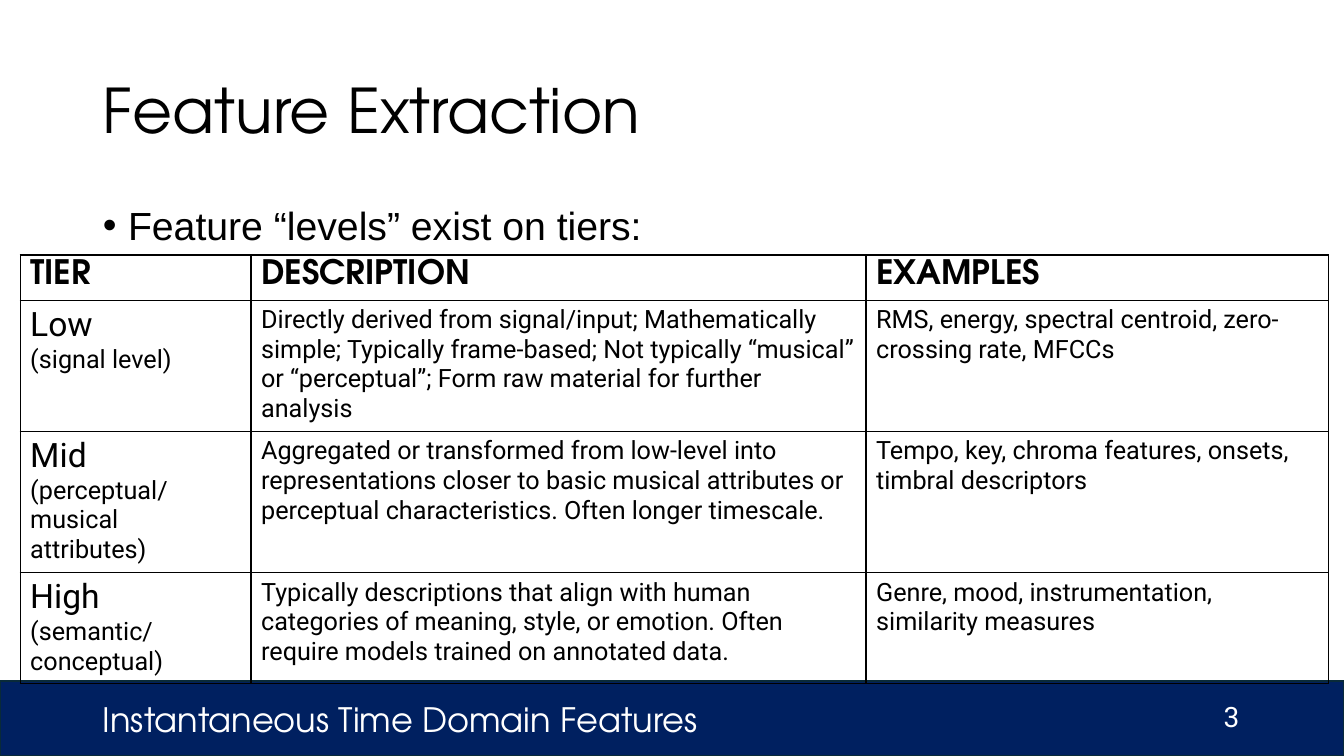
from dataclasses import dataclass
from typing import Any

from lxml.etree import SubElement
from pptx import Presentation
from pptx.dml.color import RGBColor
from pptx.enum.shapes import MSO_SHAPE
from pptx.enum.text import MSO_ANCHOR, MSO_AUTO_SIZE, PP_ALIGN
from pptx.oxml.ns import qn
from pptx.util import Inches, Pt


@dataclass(frozen=True)
class Theme:
    black: str = "000000"
    white: str = "FFFFFF"
    navy: str = "002060"
    band_edge: str = "092A39"
    heading: str = "TeX Gyre Adventor"
    body: str = "Arial"
    text: str = "Roboto"
    title_size: int = 44
    body_size: int = 28
    head_size: int = 24
    number_size: int = 20
    cell_size: int = 18


@dataclass(frozen=True)
class Box:
    left: float
    top: float
    width: float
    height: float

    def emu(self) -> tuple[int, int, int, int]:
        return Inches(self.left), Inches(self.top), Inches(self.width), Inches(self.height)


@dataclass(frozen=True)
class Tier:
    name: str
    notes: tuple[str, ...]
    description: str
    examples: str


@dataclass(frozen=True)
class Label:
    text: str
    box: Box
    font: str
    size: int
    align: PP_ALIGN


T = Theme()
SLIDE_W, SLIDE_H = 13.33, 7.5
BAND = Box(0, 6.76, SLIDE_W, 0.74)
TITLE = Box(0.92, 0.4, 11.5, 1.45)
BODY = Box(0.92, 2, 11.5, 4.76)
HEADERS = ("TIER", "DESCRIPTION", "EXAMPLES")
ROW_HEIGHT = 0.41
COLUMNS = (2.29, 6.1, 4.59)
TIERS = (
    Tier("Low", ("(signal level)",),
         "Directly derived from signal/input; Mathematically simple; Typically frame-based; "
         "Not typically “musical” or “perceptual”; Form raw material for further analysis",
         "RMS, energy, spectral centroid, zero-crossing rate, MFCCs"),
    Tier("Mid", ("(perceptual/", "musical attributes)"),
         "Aggregated or transformed from low-level into representations closer to basic musical "
         "attributes or perceptual characteristics. Often longer timescale.",
         "Tempo, key, chroma features, onsets, timbral descriptors"),
    Tier("High", ("(semantic/", "conceptual)"),
         "Typically descriptions that align with human categories of meaning, style, or emotion. "
         "Often require models trained on annotated data.",
         "Genre, mood, instrumentation, similarity measures"),
)
LABELS = (
    Label("Instantaneous Time Domain Features", Box(0.92, 6.76, 7.67, 0.74),
          T.heading, T.head_size, PP_ALIGN.LEFT),
    Label("3", Box(11.27, 6.87, 1.12, 0.48), T.text, T.number_size, PP_ALIGN.RIGHT),
)


def style(p: Any, font: str, size: int, color: str = T.black, bold: bool = False) -> None:
    for r in p.runs:
        r.font.name = font
        r.font.size = Pt(size)
        r.font.bold = bold
        r.font.color.rgb = RGBColor.from_string(color)


def fill_placeholder(sp: Any, text: str, box: Box, font: str, size: int, anchor: MSO_ANCHOR) -> Any:
    sp.left, sp.top, sp.width, sp.height = box.emu()
    tf = sp.text_frame
    tf.text = text
    tf.auto_size = MSO_AUTO_SIZE.NONE
    tf.vertical_anchor = anchor
    p = tf.paragraphs[0]
    p.alignment = PP_ALIGN.LEFT
    p.line_spacing = 0.9
    style(p, font, size)
    return p


def set_bullet(p: Any, char: str, indent: float) -> None:
    pPr = p._p.get_or_add_pPr()
    pPr.set("marL", str(Inches(indent)))
    pPr.set("indent", str(-Inches(indent)))
    SubElement(pPr, qn("a:buFont"), typeface=T.body)
    SubElement(pPr, qn("a:buChar"), char=char)


def add_band(s: Any) -> None:
    sp = s.shapes.add_shape(MSO_SHAPE.RECTANGLE, *BAND.emu())
    sp.shadow.inherit = False
    sp.fill.solid()
    sp.fill.fore_color.rgb = RGBColor.from_string(T.navy)
    sp.line.color.rgb = RGBColor.from_string(T.band_edge)
    sp.line.width = Pt(1.5)


def add_label(s: Any, label: Label) -> None:
    tf = s.shapes.add_textbox(*label.box.emu()).text_frame
    tf.word_wrap = True
    tf.vertical_anchor = MSO_ANCHOR.MIDDLE
    p = tf.paragraphs[0]
    p.text = label.text
    p.alignment = label.align
    style(p, label.font, label.size, T.white)


def set_borders(cell: Any) -> None:
    tcPr = cell._tc.get_or_add_tcPr()
    for side in ("lnL", "lnR", "lnT", "lnB"):
        ln = SubElement(tcPr, qn(f"a:{side}"), w=str(Pt(1)))
        SubElement(SubElement(ln, qn("a:solidFill")), qn("a:srgbClr"), val=T.black)


def fill_cell(cell: Any, lines: tuple[str, ...], sizes: tuple[int, ...], header: bool) -> None:
    set_borders(cell)
    cell.fill.background()
    cell.margin_left = cell.margin_right = Inches(0.1)
    cell.margin_top = Inches(0.05)
    cell.margin_bottom = Inches(0 if header else 0.05)
    cell.text_frame.text = "\n".join(lines)
    for p, size in zip(cell.text_frame.paragraphs, sizes):
        style(p, T.heading if header else T.text, size, bold=header)


def add_tiers(s: Any) -> None:
    rows = len(TIERS) + 1
    box = Box(0.2, 2.53, sum(COLUMNS), ROW_HEIGHT * rows)
    table = s.shapes.add_table(rows, len(COLUMNS), *box.emu()).table
    table.first_row = table.horz_banding = False
    for column, width in zip(table.columns, COLUMNS):
        column.width = Inches(width)
    for i, header in enumerate(HEADERS):
        fill_cell(table.cell(0, i), (header,), (T.head_size,), True)
    for i, tier in enumerate(TIERS, 1):
        name_sizes = (T.head_size,) + (T.cell_size,) * len(tier.notes)
        fill_cell(table.cell(i, 0), (tier.name, *tier.notes), name_sizes, False)
        for j, text in enumerate((tier.description, tier.examples), 1):
            fill_cell(table.cell(i, j), (text,), (T.cell_size,), False)


def main() -> None:
    prs = Presentation()
    prs.slide_width, prs.slide_height = Inches(SLIDE_W), Inches(SLIDE_H)
    s = prs.slides.add_slide(prs.slide_layouts[1])
    add_band(s)
    fill_placeholder(s.shapes.title, "Feature Extraction", TITLE,
                     T.heading, T.title_size, MSO_ANCHOR.MIDDLE)
    p = fill_placeholder(s.placeholders[1], "Feature “levels” exist on tiers:", BODY,
                         T.body, T.body_size, MSO_ANCHOR.TOP)
    p.space_before = Pt(10)
    set_bullet(p, "•", 0.25)
    for label in LABELS:
        add_label(s, label)
    add_tiers(s)
    prs.save("out.pptx")


if __name__ == "__main__":
    main()
